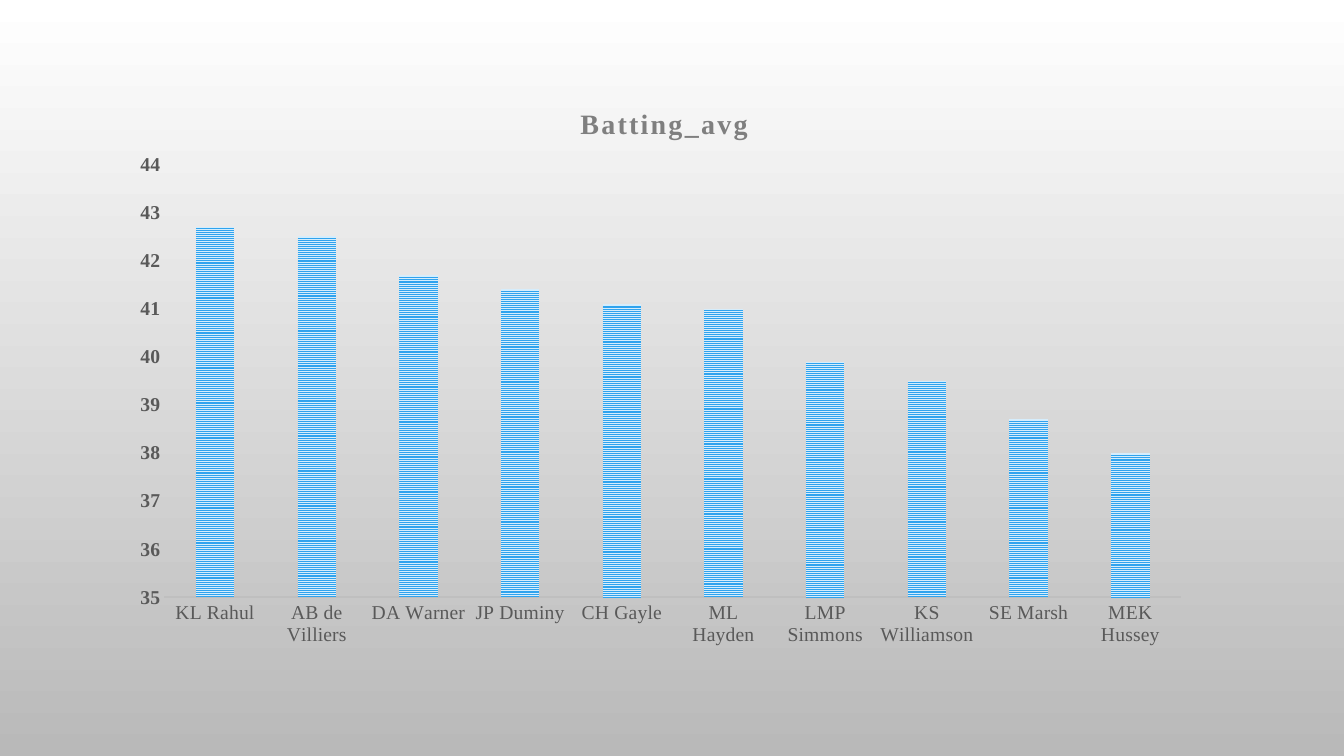
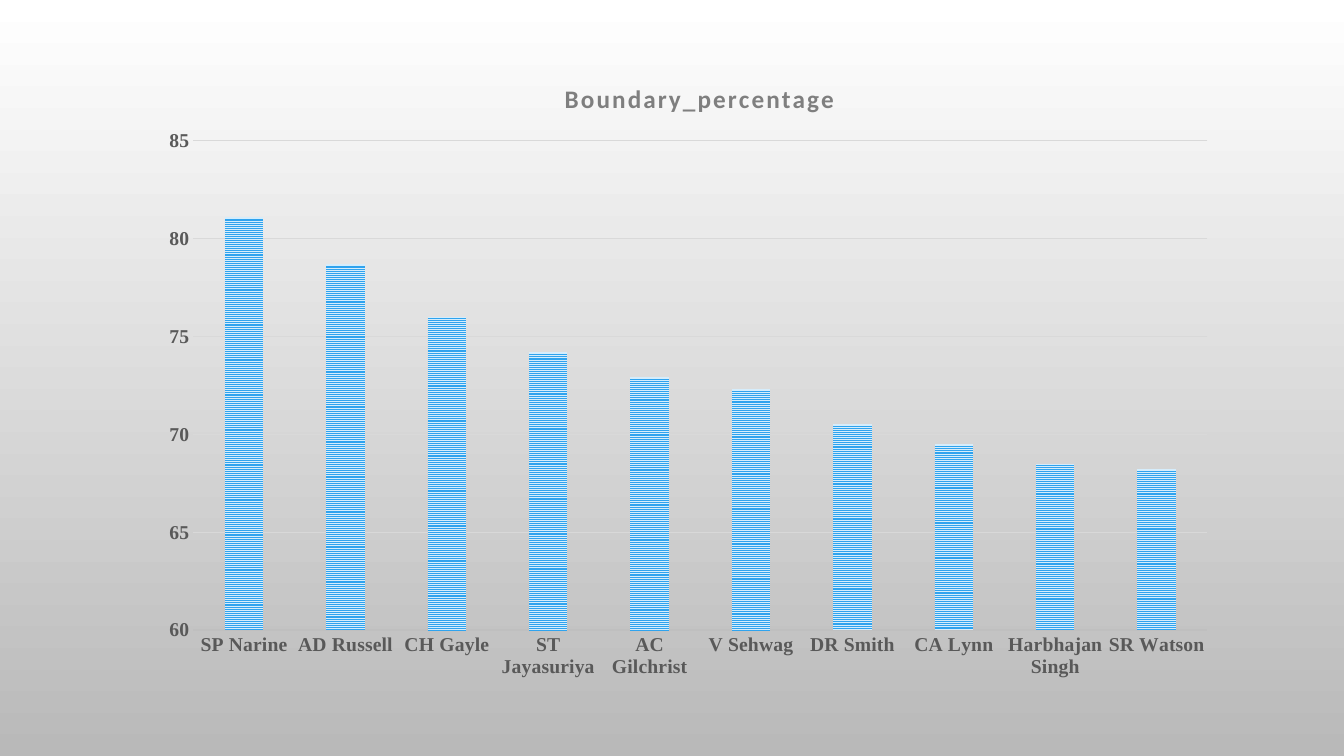
from pptx import Presentation
from pptx.chart.data import CategoryChartData
from pptx.dml.color import RGBColor
from pptx.enum.chart import XL_CHART_TYPE, XL_TICK_MARK
from pptx.enum.dml import MSO_PATTERN
from pptx.oxml import parse_xml
from pptx.oxml.ns import nsdecls
from pptx.util import Inches, Pt

COLORS = {
    "background_top": "FFFFFF",
    "background_bottom": "B9B9B9",
    "title": "7F7F7F",
    "label": "595959",
    "axis": "BFBFBF",
    "grid": "D9D9D9",
    "stripe": "2FA3EE",
    "stripe_gap": "D5EDFC",
}
SERIF = "Times New Roman"
SANS = "Calibri"

CHARTS = [
    {
        "title": "Batting_avg", "title_font": SERIF, "title_size": 20,
        "title_at": (0.42, 0.04), "box": (1.2, 0.77, 10.73, 5.73),
        "plot": (0.04, 0.15, 0.94, 0.75),
        "scale": (35, 44, 1), "grid": False, "bold_names": False,
        "averages": {
            "KL Rahul": 42.7, "AB de Villiers": 42.5, "DA Warner": 41.7,
            "JP Duminy": 41.4, "CH Gayle": 41.1, "ML Hayden": 41,
            "LMP Simmons": 39.9, "KS Williamson": 39.5, "SE Marsh": 38.7,
            "MEK Hussey": 38,
        },
    },
    {
        "title": "Boundary_percentage", "title_font": SANS, "title_size": 18,
        "title_at": (0.38, 0.04), "box": (1.49, 0.51, 10.7, 6.31),
        "plot": (0.04, 0.14, 0.94, 0.77),
        "scale": (60, 85, 5), "grid": True, "bold_names": True,
        "averages": {
            "SP Narine": 81.1, "AD Russell": 78.7, "CH Gayle": 76,
            "ST Jayasuriya": 74.2, "AC Gilchrist": 72.9, "V Sehwag": 72.3,
            "DR Smith": 70.5, "CA Lynn": 69.5, "Harbhajan Singh": 68.5,
            "SR Watson": 68.2,
        },
    },
]


def style_font(font, name, size, color, bold):
    font.name = name
    font.size = Pt(size)
    font.bold = bold
    font.color.rgb = RGBColor.from_string(COLORS[color])


def set_layout(element, position, inner=False):
    for layout in element.findall("{*}layout"):
        element.remove(layout)
    target = '<c:layoutTarget val="inner"/>' if inner else ""
    modes = "".join(f'<c:{axis}Mode val="edge"/>' for axis in "xy")
    values = "".join(f'<c:{key} val="{value}"/>' for key, value in zip("xywh", position))
    layout = parse_xml(
        f'<c:layout {nsdecls("c")}><c:manualLayout>{target}{modes}{values}'
        "</c:manualLayout></c:layout>"
    )
    if inner:
        element.insert(0, layout)
    else:
        element.find("{*}tx").addnext(layout)


presentation = Presentation()
presentation.slide_width = Inches(13.33)
presentation.slide_height = Inches(7.5)

for details in CHARTS:
    slide = presentation.slides.add_slide(presentation.slide_layouts[6])
    background = slide.background.fill
    background.gradient()
    background.gradient_angle = 270
    for stop, color in zip(background.gradient_stops, ("background_top", "background_bottom")):
        stop.color.rgb = RGBColor.from_string(COLORS[color])

    chart_data = CategoryChartData()
    chart_data.categories = list(details["averages"])
    chart_data.add_series("Series 1", list(details["averages"].values()))
    box = [Inches(length) for length in details["box"]]
    chart = slide.shapes.add_chart(XL_CHART_TYPE.COLUMN_CLUSTERED, *box, chart_data).chart
    chart.has_legend = False
    chart.font.name = SANS
    chart.font.size = Pt(10)

    chart.has_title = True
    title = chart.chart_title
    title.include_in_layout = False
    paragraph = title.text_frame.paragraphs[0]
    paragraph.text = details["title"]
    style_font(paragraph.font, details["title_font"], details["title_size"], "title", True)
    paragraph.font._element.set("spc", "150")
    set_layout(title._element, details["title_at"])

    plot = chart.plots[0]
    plot.vary_by_categories = False
    plot.gap_width = 164
    plot.overlap = -22
    bars = plot.series[0].format.fill
    bars.patterned()
    bars.pattern = MSO_PATTERN.NARROW_HORIZONTAL
    bars.fore_color.rgb = RGBColor.from_string(COLORS["stripe"])
    bars.back_color.rgb = RGBColor.from_string(COLORS["stripe_gap"])
    set_layout(plot._element.getparent(), details["plot"], inner=True)

    names, values = chart.category_axis, chart.value_axis
    for axis, bold in ((names, details["bold_names"]), (values, True)):
        axis.major_tick_mark = XL_TICK_MARK.NONE
        axis.minor_tick_mark = XL_TICK_MARK.NONE
        style_font(axis.tick_labels.font, SERIF, 14, "label", bold)
    names.format.line.color.rgb = RGBColor.from_string(COLORS["axis"])
    names.format.line.width = Pt(1.5)
    values.format.line.fill.background()
    values.minimum_scale, values.maximum_scale, values.major_unit = details["scale"]
    values.tick_labels.number_format = "0"
    values.tick_labels.number_format_is_linked = False
    values.has_major_gridlines = details["grid"]
    if details["grid"]:
        grid = values.major_gridlines.format.line
        grid.color.rgb = RGBColor.from_string(COLORS["grid"])
        grid.width = Pt(0.75)

presentation.save("out.pptx")
